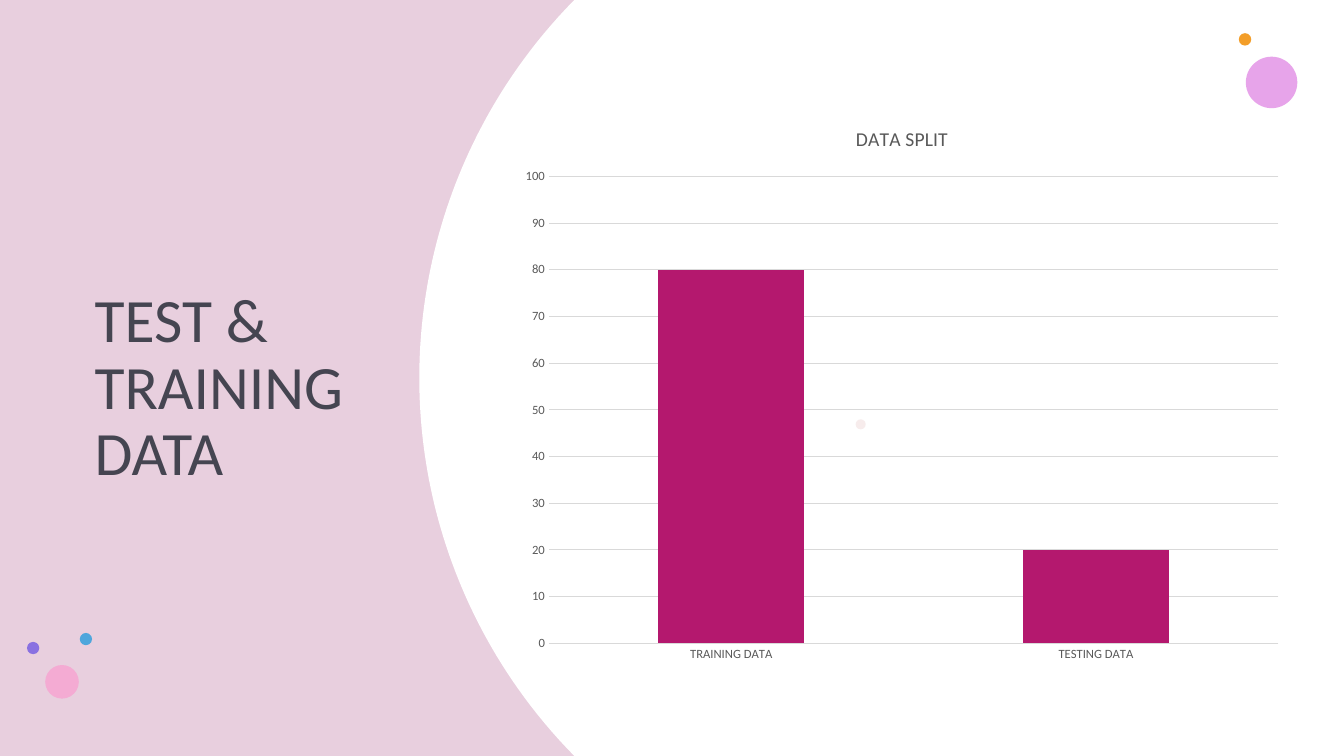
from math import sqrt

from lxml.etree import SubElement
from pptx import Presentation
from pptx.chart.data import CategoryChartData
from pptx.dml.color import RGBColor
from pptx.enum.chart import XL_CHART_TYPE, XL_TICK_MARK
from pptx.enum.shapes import MSO_SHAPE
from pptx.enum.text import MSO_ANCHOR
from pptx.oxml.ns import qn
from pptx.util import Pt

WIDTH, HEIGHT = 960, 540
FONT = "Calibri"

BLUSH = RGBColor(0xF9, 0xD5, 0xE9)
VEIL = RGBColor(0xC1, 0xC3, 0xC7)
WHITE = RGBColor(0xFF, 0xFF, 0xFF)
ORCHID = RGBColor(0xDF, 0x82, 0xE2)
ORANGE = RGBColor(0xF3, 0x9E, 0x29)
ROSE = RGBColor(0xE3, 0xBE, 0xBE)
BLUE = RGBColor(0x4E, 0xA6, 0xDC)
PINK = RGBColor(0xF4, 0xAB, 0xD3)
PURPLE = RGBColor(0x89, 0x71, 0xE1)
SLATE = RGBColor(0x45, 0x45, 0x51)
GRAY = RGBColor(0x59, 0x59, 0x59)
LIGHT_GRAY = RGBColor(0xD9, 0xD9, 0xD9)
MAGENTA = RGBColor(0xB4, 0x18, 0x6E)

# left, top, diameter, colour, opacity in percent
DOTS = [
    (889.9, 40.5, 36.8, ORCHID, 72),
    (884.9, 23.7, 8.9, ORANGE, 100),
    (611.2, 299.5, 7.2, ROSE, 28),
    (57, 452.1, 8.8, BLUE, 100),
    (32.3, 475, 24, PINK, 100),
    (19.3, 458.5, 8.8, PURPLE, 100),
]


class SlideBuilder:
    def __init__(self, slide, font_name):
        self.slide = slide
        self.font_name = font_name

    def background(self, color):
        fill = self.slide.background.fill
        fill.solid()
        fill.fore_color.rgb = color

    def paint(self, shape, color, opacity=100):
        shape.shadow.inherit = False
        shape.fill.solid()
        shape.fill.fore_color.rgb = color
        shape.line.fill.background()
        if opacity < 100:
            color_element = shape.fill._xPr.find(".//" + qn("a:srgbClr"))
            SubElement(color_element, qn("a:alpha"), val=str(opacity * 1000))

    def preset(self, kind, left, top, width, height, color, opacity=100):
        shape = self.slide.shapes.add_shape(
            kind, Pt(left), Pt(top), Pt(width), Pt(height))
        self.paint(shape, color, opacity)

    def curved_panel(self, left, radius, color, steps=90):
        """Fill the slide to the right of a circular arc whose leftmost point is at left."""
        middle = HEIGHT / 2
        points = []
        for step in range(steps + 1):
            y = HEIGHT * step / steps
            x = left + radius - sqrt(radius ** 2 - (y - middle) ** 2)
            points.append((Pt(x), Pt(y)))
        builder = self.slide.shapes.build_freeform(Pt(WIDTH), 0)
        builder.add_line_segments(points + [(Pt(WIDTH), Pt(HEIGHT))], close=True)
        self.paint(builder.convert_to_shape(), color)

    def style_font(self, font, size, color):
        font.name = self.font_name
        font.size = Pt(size)
        font.bold = False
        font.color.rgb = color

    def title(self, text, left, top, width, height):
        text_box = self.slide.shapes.add_textbox(
            Pt(left), Pt(top), Pt(width), Pt(height))
        text_frame = text_box.text_frame
        text_frame.word_wrap = True
        text_frame.vertical_anchor = MSO_ANCHOR.MIDDLE
        text_frame.text = text
        paragraph = text_frame.paragraphs[0]
        paragraph.line_spacing = 0.9
        self.style_font(paragraph.runs[0].font, 44, SLATE)

    def style_line(self, line):
        line.color.rgb = LIGHT_GRAY
        line.width = Pt(0.75)

    def column_chart(self, name, values, left, top, width, height):
        data = CategoryChartData()
        data.categories = list(values)
        data.add_series(name, list(values.values()))
        chart = self.slide.shapes.add_chart(
            XL_CHART_TYPE.COLUMN_STACKED,
            Pt(left), Pt(top), Pt(width), Pt(height), data).chart
        self.style_font(chart.font, 10, GRAY)
        chart.has_legend = False
        chart.has_title = True
        title_frame = chart.chart_title.text_frame
        title_frame.text = name
        self.style_font(title_frame.paragraphs[0].runs[0].font, 14, GRAY)

        plot = chart.plots[0]
        plot.vary_by_categories = False
        plot.gap_width = 150
        plot.overlap = 100
        bar_fill = plot.series[0].format.fill
        bar_fill.solid()
        bar_fill.fore_color.rgb = MAGENTA

        for axis in (chart.category_axis, chart.value_axis):
            axis.major_tick_mark = XL_TICK_MARK.NONE
            axis.minor_tick_mark = XL_TICK_MARK.NONE
            self.style_font(axis.tick_labels.font, 9, GRAY)
        self.style_line(chart.category_axis.format.line)
        value_axis = chart.value_axis
        value_axis.minimum_scale = 0
        value_axis.maximum_scale = 100
        value_axis.major_unit = 10
        value_axis.format.line.fill.background()
        self.style_line(value_axis.major_gridlines.format.line)


def main():
    presentation = Presentation()
    presentation.slide_width = Pt(WIDTH)
    presentation.slide_height = Pt(HEIGHT)
    slide = presentation.slides.add_slide(presentation.slide_layouts[6])

    builder = SlideBuilder(slide, FONT)
    builder.background(BLUSH)
    builder.preset(MSO_SHAPE.RECTANGLE, 0, 0, WIDTH, HEIGHT, VEIL, 30)
    builder.curved_panel(left=299.5, radius=384.5, color=WHITE)
    for left, top, diameter, color, opacity in DOTS:
        builder.preset(MSO_SHAPE.OVAL, left, top, diameter, diameter, color, opacity)
    builder.title("TEST & TRAINING DATA", 60.5, 75, 225.5, 406)
    builder.column_chart(
        "DATA SPLIT", {"TRAINING DATA": 80, "TESTING DATA": 20}, 364.3, 75, 560, 406)

    presentation.save("out.pptx")


if __name__ == "__main__":
    main()
